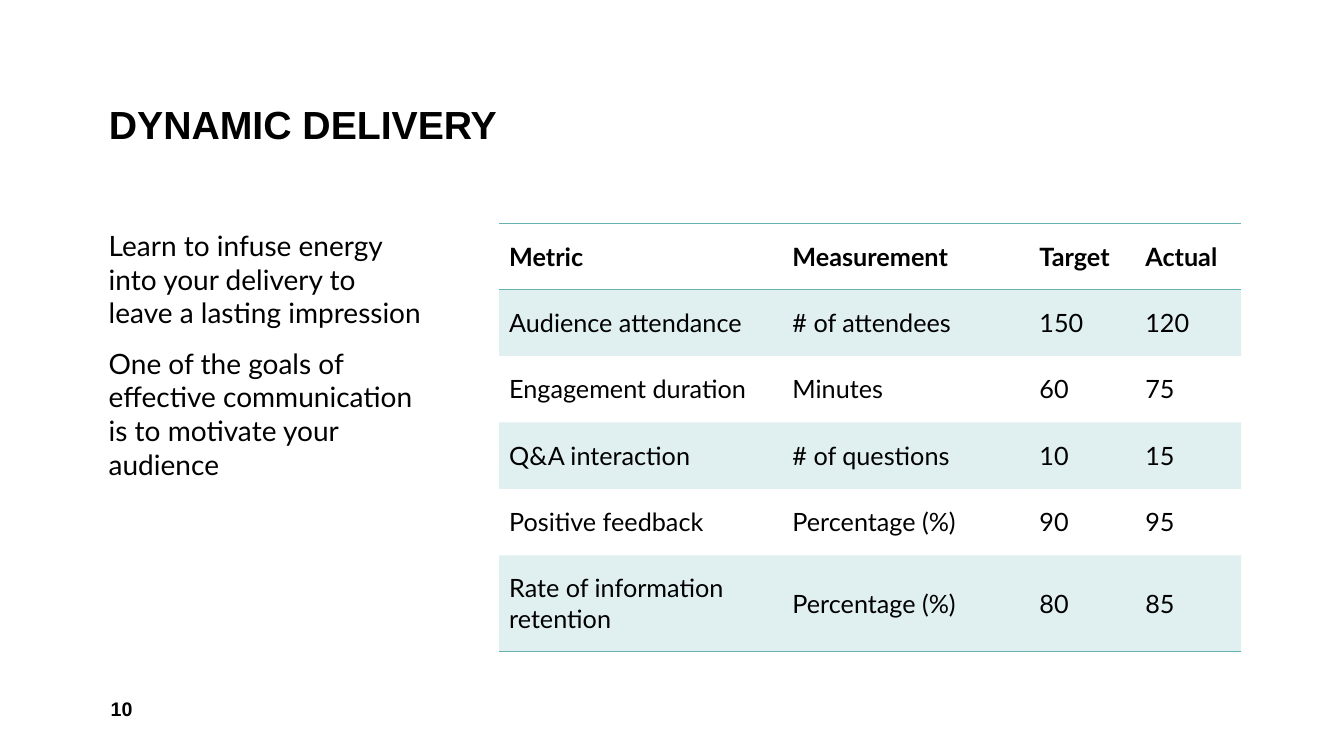
from dataclasses import dataclass

from pptx import Presentation
from pptx.dml.color import RGBColor
from pptx.enum.text import MSO_ANCHOR as Anchor, MSO_AUTO_SIZE as AutoSize, PP_ALIGN as Align
from pptx.oxml import parse_xml
from pptx.oxml.ns import nsdecls, qn
from pptx.util import Pt

PX = 9144  # EMU; 100 px to the inch
TITLE_ONLY = 5
NO_STYLE_NO_GRID = "{2D5ABB26-0587-4C30-8999-92F81FD0307C}"


@dataclass(frozen=True)
class Theme:
    ink: str = "000000"
    paper: str = "FFFFFF"
    accent: str = "66B2B0"
    band_opacity: int = 20
    heading_font: str = "Arial"
    body_font: str = "Lato"
    title_size: int = 28
    body_size: int = 20
    table_size: int = 18
    number_size: int = 14
    rule_width: int = 1


THEME = Theme()

GOALS = [
    "Learn to infuse energy into your delivery to leave a lasting impression",
    "One of the goals of effective communication is to motivate your audience",
]
METRICS = [
    ("Metric", "Measurement", "Target", "Actual"),
    ("Audience attendance", "# of attendees", "150", "120"),
    ("Engagement duration", "Minutes", "60", "75"),
    ("Q&A interaction", "# of questions", "10", "15"),
    ("Positive feedback", "Percentage (%)", "90", "95"),
    ("Rate of information retention", "Percentage (%)", "80", "85"),
]
COLUMN_WIDTHS = (281, 245, 105, 105)
ROW_HEIGHTS = (65, 66, 66, 66, 66, 95)


def emu(box):
    return [length * PX for length in box]


def style_text(frame, font, size, bold=False):
    for paragraph in frame.paragraphs:
        paragraph.alignment = Align.LEFT
        for run in paragraph.runs:
            run.font.name = font
            run.font.size = Pt(size)
            run.font.bold = bold
            run.font.color.rgb = RGBColor.from_string(THEME.ink)


def add_title(slide, box, wording):
    title = slide.shapes.title
    title.left, title.top, title.width, title.height = emu(box)
    frame = title.text_frame
    frame.text = wording
    frame.auto_size = AutoSize.NONE
    frame.vertical_anchor = Anchor.BOTTOM
    frame.paragraphs[0].line_spacing = 0.9
    style_text(frame, THEME.heading_font, THEME.title_size, bold=True)


def add_goals(slide, box, goals):
    frame = slide.shapes.add_textbox(*emu(box)).text_frame
    frame.word_wrap = True
    frame.text = "\n".join(goals)
    for paragraph in frame.paragraphs:
        paragraph.space_after = Pt(12)
    style_text(frame, THEME.body_font, THEME.body_size)


def add_page_number(slide, box, number):
    frame = slide.shapes.add_textbox(*emu(box)).text_frame
    frame.word_wrap = True
    frame.vertical_anchor = Anchor.MIDDLE
    frame.text = number
    style_text(frame, THEME.heading_font, THEME.number_size, bold=True)


def shade_band(cell):
    cell.fill.solid()
    cell.fill.fore_color.rgb = RGBColor.from_string(THEME.accent)
    color = cell._tc.tcPr.find(".//" + qn("a:srgbClr"))
    color.append(parse_xml(f'<a:alpha {nsdecls("a")} val="{THEME.band_opacity * 1000}"/>'))


def rule_cell(cell, edges):
    """Draw the given edges, "T" and "B" in that order, ahead of the cell fill."""
    for position, edge in enumerate(edges):
        cell._tc.get_or_add_tcPr().insert(position, parse_xml(
            f'<a:ln{edge} {nsdecls("a")} w="{Pt(THEME.rule_width)}"><a:solidFill>'
            f'<a:srgbClr val="{THEME.accent}"/></a:solidFill></a:ln{edge}>'))


def add_metrics(slide, box, rows):
    table = slide.shapes.add_table(len(rows), len(rows[0]), *emu(box)).table
    table.first_row = table.horz_banding = False
    table._tbl.tblPr.find(qn("a:tableStyleId")).text = NO_STYLE_NO_GRID
    for column, width in zip(table.columns, COLUMN_WIDTHS):
        column.width = width * PX
    for row, height in zip(table.rows, ROW_HEIGHTS):
        row.height = height * PX

    edges_by_row = {0: "TB", len(rows) - 1: "B"}
    for r, row in enumerate(rows):
        for c, wording in enumerate(row):
            cell = table.cell(r, c)
            cell.text_frame.text = wording
            cell.vertical_anchor = Anchor.MIDDLE
            style_text(cell.text_frame, THEME.body_font, THEME.table_size, bold=r == 0)
            if r % 2:
                shade_band(cell)
            else:
                cell.fill.background()
            rule_cell(cell, edges_by_row.get(r, ""))


def main():
    deck = Presentation()
    deck.slide_width, deck.slide_height = emu((1333, 750))
    slide = deck.slides.add_slide(deck.slide_layouts[TITLE_ONLY])
    slide.background.fill.solid()
    slide.background.fill.fore_color.rgb = RGBColor.from_string(THEME.paper)
    add_title(slide, (98, 15, 675, 137), "DYNAMIC DELIVERY")
    add_goals(slide, (98, 222, 330, 427), GOALS)
    add_metrics(slide, (495, 222, sum(COLUMN_WIDTHS), sum(ROW_HEIGHTS)), METRICS)
    add_page_number(slide, (100, 683, 130, 40), "10")
    deck.save("out.pptx")


if __name__ == "__main__":
    main()
